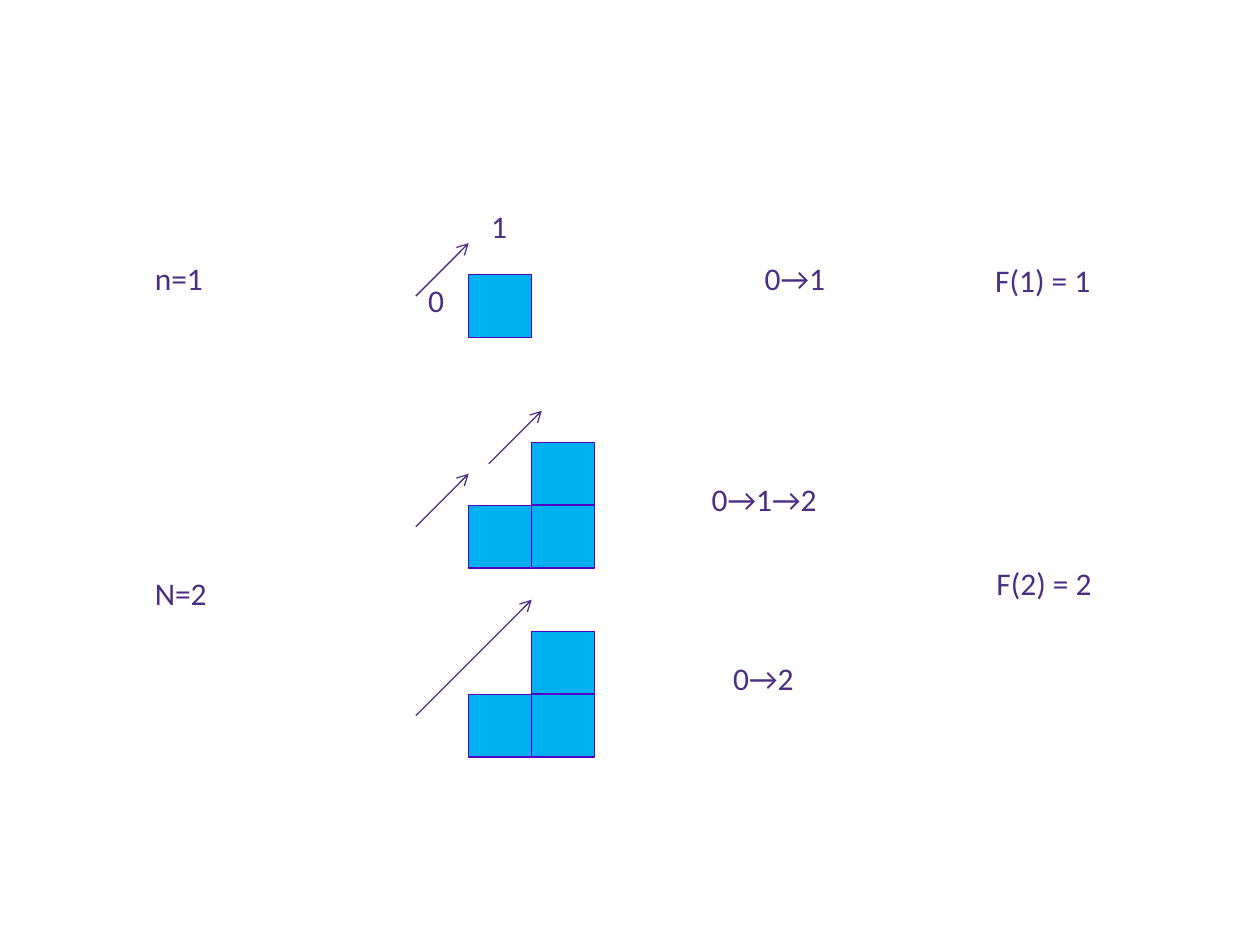
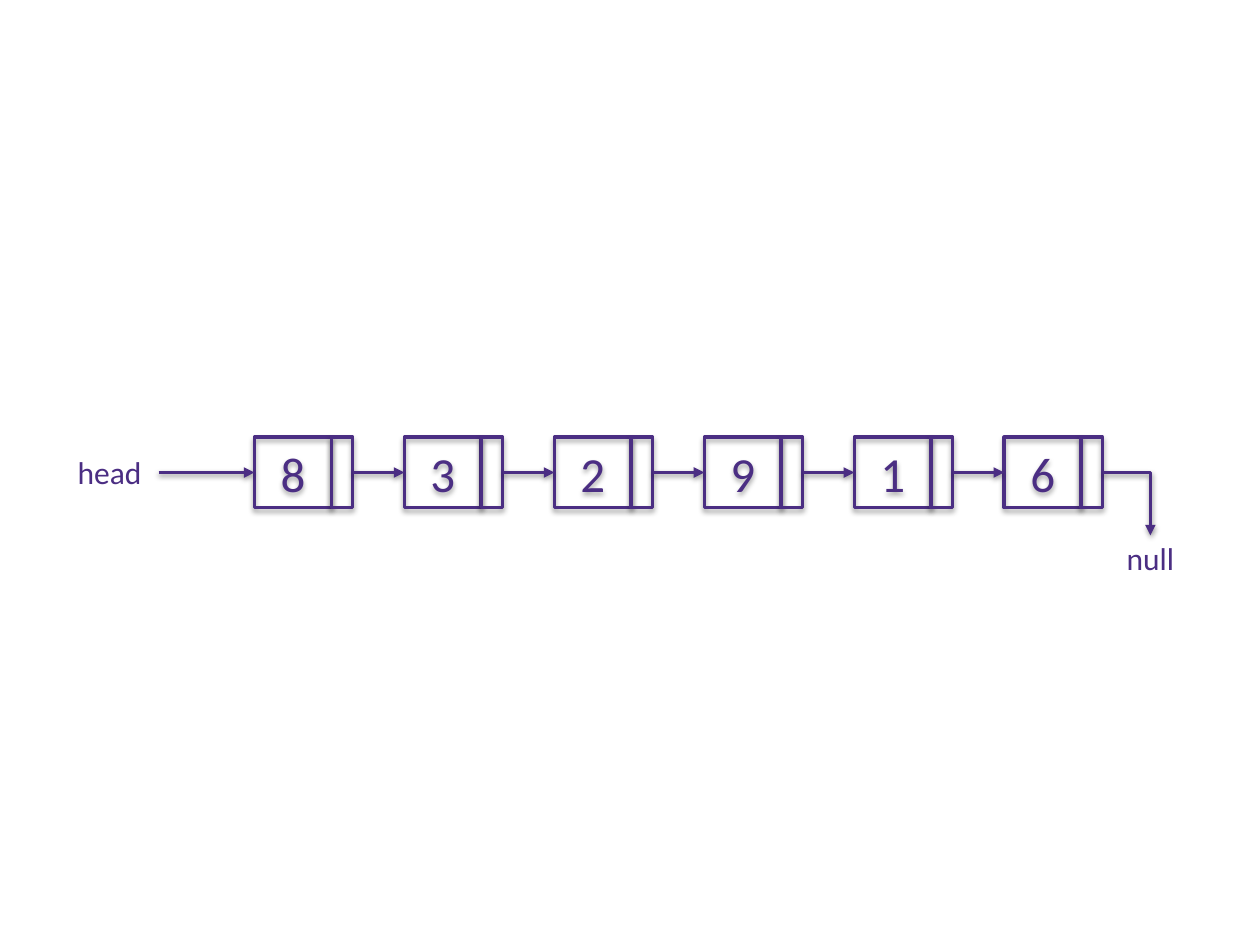
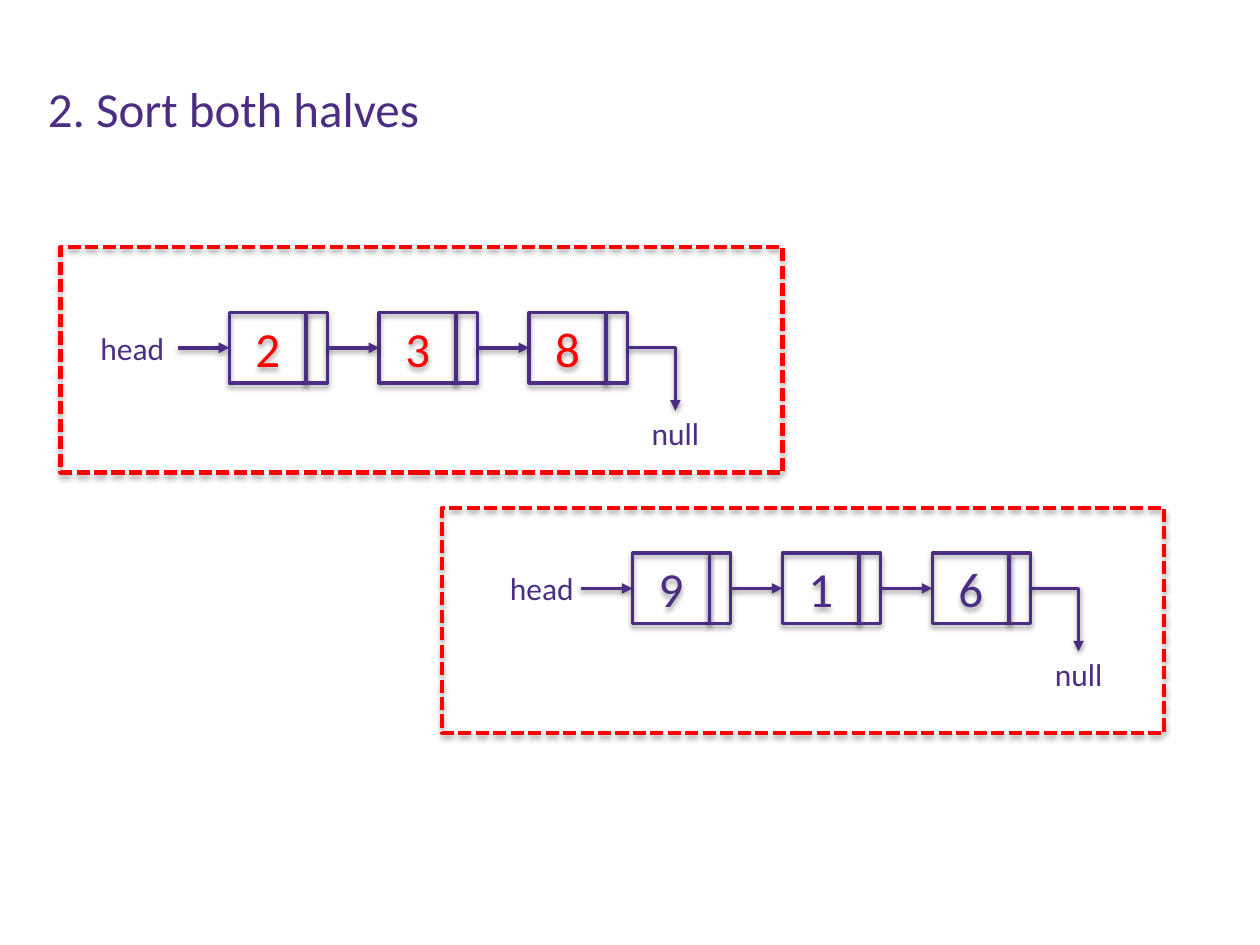
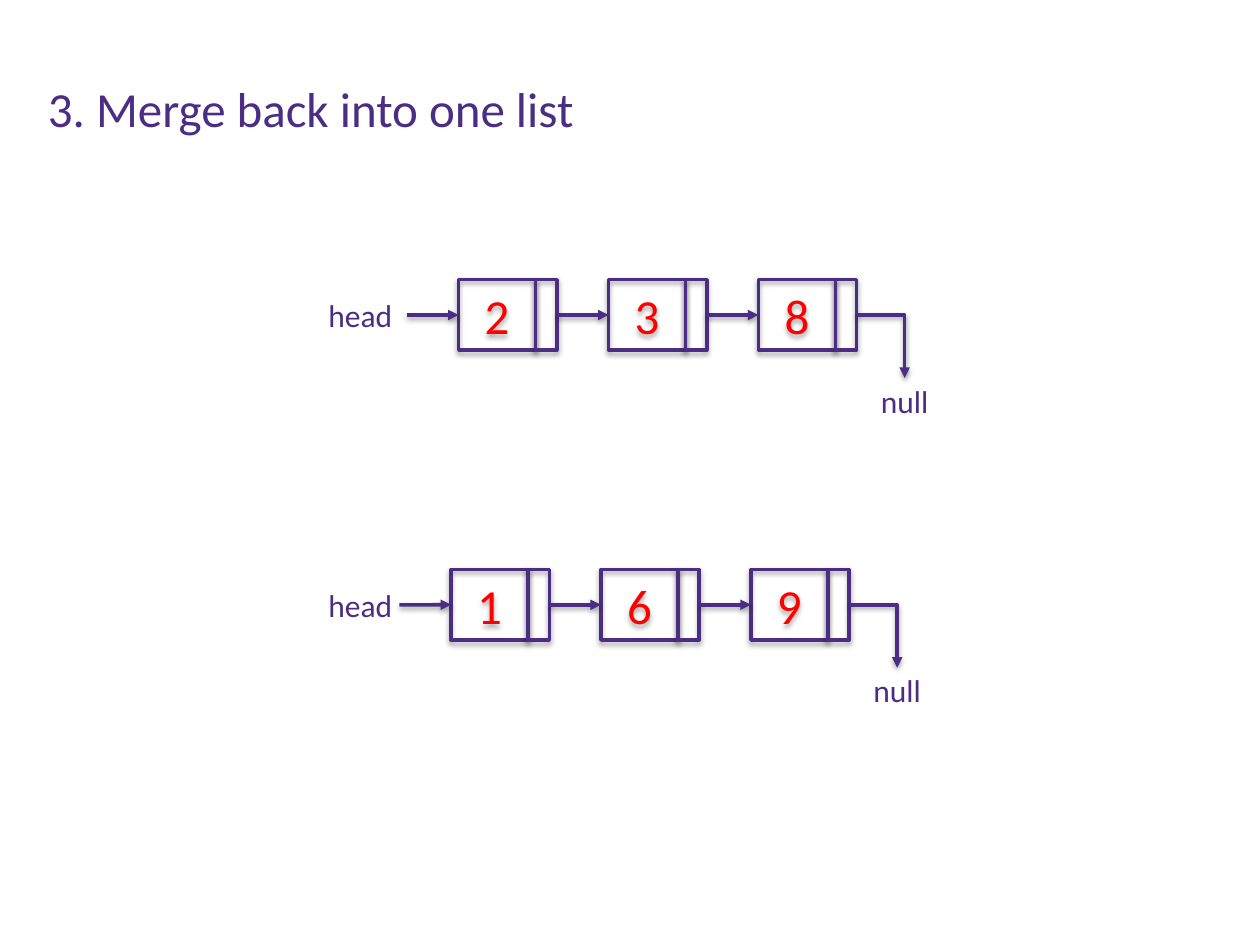
from lxml.etree import SubElement
from pptx import Presentation
from pptx.dml.color import RGBColor
from pptx.enum.dml import MSO_LINE
from pptx.enum.shapes import MSO_CONNECTOR as CONNECTOR, MSO_SHAPE
from pptx.enum.text import MSO_ANCHOR as ANCHOR, MSO_AUTO_SIZE as AUTO_SIZE, PP_ALIGN as ALIGN
from pptx.oxml.ns import qn
from pptx.util import Inches, Pt

COLORS = {"purple": "4B2E83", "violet": "5100C4", "sky": "00B0F0",
          "red": "FF0000", "black": "000000"}
FONT = "Calibri"
LABEL_SIZE, LARGE_SIZE = 18, 28
LABEL_HEIGHT, LARGE_HEIGHT = 0.4, 0.57
TITLE_LEFT, TITLE_TOP = 0.28, 0.57
TITLE_ONLY, BLANK = 5, 6

STEP = 0.5
STAIR_LEFT = 3.72
STAIRCASES = [
    {"base": 2.68, "heights": [1], "jumps": [((-0.42, 0.33), (0, 0.75))],
     "labels": [("0", 3.3, 2.18, 0.4), ("1", 3.8, 1.59, 0.4)]},
    {"base": 4.51, "heights": [1, 2],
     "jumps": [((-0.42, 0.33), (0, 0.75)), ((0.16, 0.83), (0.58, 1.25))], "labels": []},
    {"base": 6.01, "heights": [1, 2], "jumps": [((-0.42, 0.33), (0.5, 1.25))], "labels": []},
]
STAIR_LABELS = [
    ("n=1", 1.13, 2.01, 0.82), ("N=2", 1.13, 4.51, 0.92),
    ("F(1) = 1", 7.8, 2.02, 0.97), ("F(2) = 2", 7.81, 4.43, 0.97),
    ("0→1", 5.97, 2.01, 0.98), ("0→1→2", 5.55, 3.76, 1.56), ("0→2", 5.72, 5.18, 0.98),
]

VALUE_WIDTH, POINTER_WIDTH, NODE_HEIGHT, NODE_GAP = 0.61, 0.17, 0.56, 0.41
NODE_PITCH = VALUE_WIDTH + POINTER_WIDTH + NODE_GAP
HEAD_WIDTH, NULL_WIDTH = 0.74, 0.78
NULL_ACROSS, NULL_DOWN = 0.38, 0.5
FRAME_WIDTH, FRAME_HEIGHT = 5.73, 1.79

LIST_SLIDES = [
    {"title": None, "frames": [], "lists": [
        {"values": "832916", "left": 2.02, "top": 3.47, "head": 0.5, "arrow": 0.76, "color": "purple"}]},
    {"title": ("2. Sort both halves", 3.18), "frames": [(0.48, 1.96), (3.51, 4.03)], "lists": [
        {"values": "238", "left": 1.82, "top": 2.48, "head": 0.68, "arrow": NODE_GAP, "color": "red"},
        {"values": "916", "left": 5.02, "top": 4.39, "head": 3.93, "arrow": NODE_GAP, "color": "purple"}]},
    {"title": ("3. Merge back into one list", 4.42), "frames": [], "lists": [
        {"values": "238", "left": 3.64, "top": 2.22, "head": 2.49, "arrow": NODE_GAP, "color": "red"},
        {"values": "169", "left": 3.58, "top": 4.52, "head": 2.49, "arrow": NODE_GAP, "color": "red"}]},
]


def rgb(name):
    return RGBColor.from_string(COLORS[name])


def write(shape, text, size, color="purple", align=ALIGN.LEFT, anchor=ANCHOR.TOP):
    frame = shape.text_frame
    frame.text = text
    frame.vertical_anchor = anchor
    paragraph = frame.paragraphs[0]
    paragraph.alignment = align
    font = paragraph.font
    font.name, font.size, font.bold = FONT, Pt(size), False
    font.color.rgb = rgb(color)
    return frame


def add_label(shapes, text, left, top, width, align=ALIGN.LEFT, wrap=False):
    box = shapes.add_textbox(*map(Inches, (left, top, width, LABEL_HEIGHT)))
    frame = write(box, text, LABEL_SIZE, align=align)
    frame.word_wrap = wrap
    frame.auto_size = AUTO_SIZE.SHAPE_TO_FIT_TEXT


def set_shadow(shape, distance=None, opacity=35):
    properties = shape.element.spPr
    effects = SubElement(properties, qn("a:effectLst"))
    if distance:
        shadow = SubElement(effects, qn("a:outerShdw"), blurRad=str(Pt(3.1)),
                            dist=str(Pt(distance)), dir="5400000", rotWithShape="0")
        color = SubElement(shadow, qn("a:srgbClr"), val=COLORS["black"])
        SubElement(color, qn("a:alpha"), val=str(opacity * 1000))


def add_box(shapes, left, top, width, height, line="purple", weight=2, fill=None):
    box = shapes.add_shape(MSO_SHAPE.RECTANGLE, *map(Inches, (left, top, width, height)))
    box.line.color.rgb = rgb(line)
    box.line.width = Pt(weight)
    if fill:
        box.fill.solid()
        box.fill.fore_color.rgb = rgb(fill)
        box.shadow.inherit = False
    else:
        box.fill.background()
        set_shadow(box, 1.8)
    return box


def add_arrow(shapes, start, end, weight=2, head="triangle", shadow=1.6, bent=False):
    kind = CONNECTOR.ELBOW if bent else CONNECTOR.STRAIGHT
    arrow = shapes.add_connector(kind, *map(Inches, (*start, *end)))
    if bent:
        arrow.element.spPr.find(qn("a:prstGeom")).set("prst", "bentConnector2")
    arrow.line.color.rgb = rgb("purple")
    arrow.line.width = Pt(weight)
    SubElement(arrow.line._get_or_add_ln(), qn("a:tailEnd"), type=head)
    set_shadow(arrow, shadow, 38)
    return arrow


def add_staircase(slide, base, heights, jumps, labels):
    shapes = slide.shapes.add_group_shape().shapes
    for column, height in enumerate(heights):
        for level in range(1, height + 1):
            add_box(shapes, STAIR_LEFT + column * STEP, base - level * STEP, STEP, STEP,
                    "violet", 0.75, "sky")
    for jump in jumps:
        start, end = [(STAIR_LEFT + across, base - up) for across, up in jump]
        add_arrow(shapes, start, end, 0.75, "arrow", None)
    for label in labels:
        add_label(shapes, *label)


def add_linked_list(slide, values, left, top, head, arrow, color):
    shapes = slide.shapes.add_group_shape().shapes
    middle = top + NODE_HEIGHT / 2
    add_label(shapes, "head", head, top + 0.08, HEAD_WIDTH, ALIGN.CENTER, True)
    previous, tail = None, left - arrow
    for index, value in enumerate(values):
        node_left = left + index * NODE_PITCH
        box = add_box(shapes, node_left, top, VALUE_WIDTH, NODE_HEIGHT)
        write(box, value, LARGE_SIZE, color, ALIGN.CENTER, ANCHOR.MIDDLE)
        link = add_arrow(shapes, (tail, middle), (node_left, middle))
        if previous:
            link.begin_connect(previous, 3)
        link.end_connect(box, 1)
        previous = add_box(shapes, node_left + VALUE_WIDTH, top, POINTER_WIDTH, NODE_HEIGHT)
        tail = node_left + VALUE_WIDTH + POINTER_WIDTH
    null_center = tail + NULL_ACROSS
    add_arrow(shapes, (tail, middle), (null_center, middle + NULL_DOWN), bent=True)
    add_label(shapes, "null", null_center - NULL_WIDTH / 2, middle + NULL_DOWN - 0.02,
              NULL_WIDTH, ALIGN.CENTER, True)


def add_title(slide, text, width):
    title = slide.shapes.title
    title.left, title.top, title.width, title.height = map(
        Inches, (TITLE_LEFT, TITLE_TOP, width, LARGE_HEIGHT))
    frame = write(title, text, LARGE_SIZE)
    frame.word_wrap = False
    frame.auto_size = AUTO_SIZE.SHAPE_TO_FIT_TEXT


def add_frame(slide, left, top):
    frame = add_box(slide.shapes, left, top, FRAME_WIDTH, FRAME_HEIGHT, "red", 2.5)
    frame.line.dash_style = MSO_LINE.SQUARE_DOT


def main():
    presentation = Presentation()
    presentation.slide_width, presentation.slide_height = Inches(10), Inches(7.5)
    layouts = presentation.slide_layouts

    stairs = presentation.slides.add_slide(layouts[BLANK])
    for staircase in STAIRCASES:
        add_staircase(stairs, **staircase)
    for label in STAIR_LABELS:
        add_label(stairs.shapes, *label)

    for content in LIST_SLIDES:
        slide = presentation.slides.add_slide(layouts[TITLE_ONLY if content["title"] else BLANK])
        if content["title"]:
            add_title(slide, *content["title"])
        for linked_list in content["lists"]:
            add_linked_list(slide, **linked_list)
        for corner in content["frames"]:
            add_frame(slide, *corner)

    presentation.save("out.pptx")


if __name__ == "__main__":
    main()
